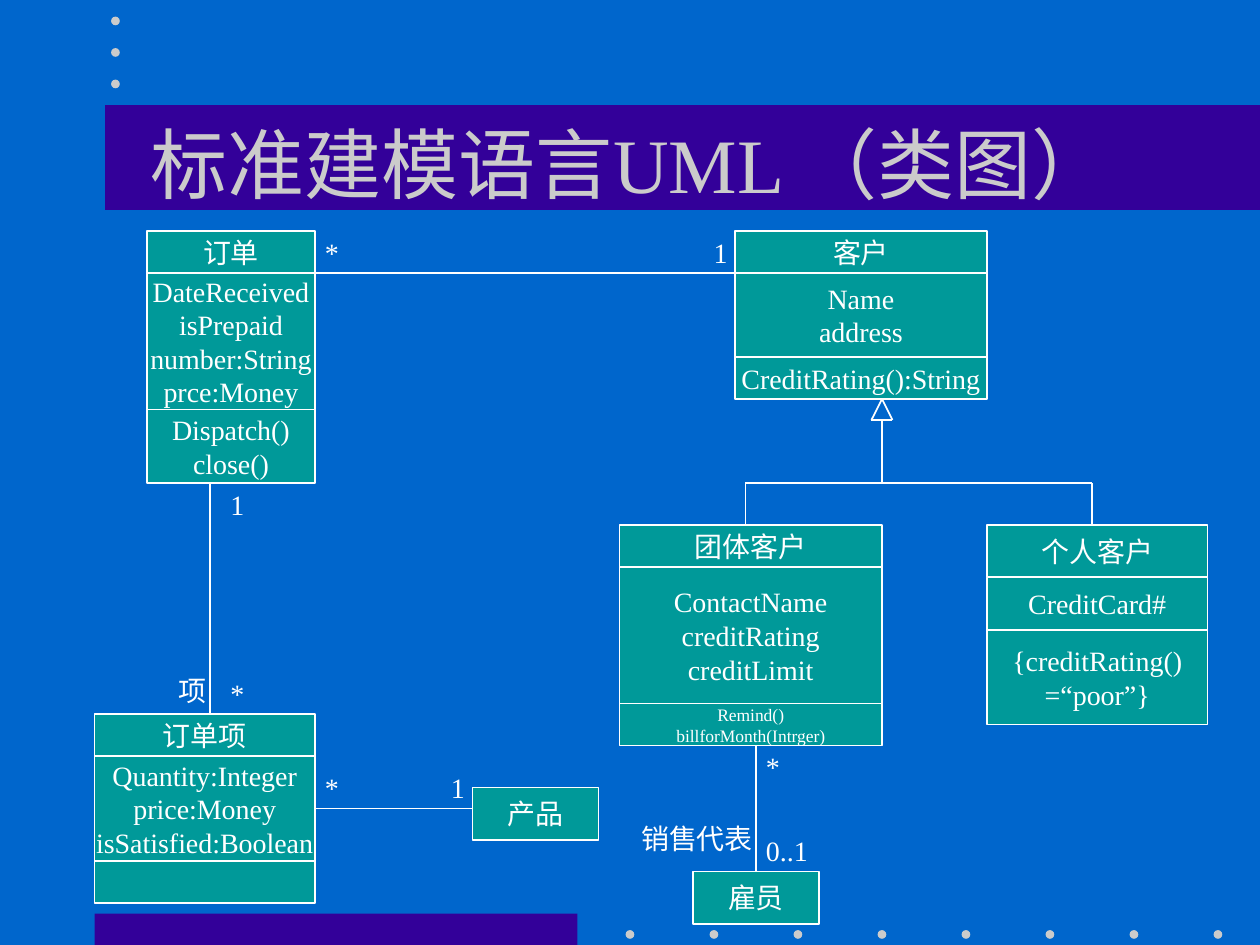
from lxml import etree
from pptx import Presentation
from pptx.dml.color import RGBColor
from pptx.enum.shapes import MSO_CONNECTOR, MSO_SHAPE
from pptx.enum.text import MSO_ANCHOR, MSO_AUTO_SIZE, PP_ALIGN
from pptx.oxml.ns import qn
from pptx.util import Pt

RECTANGLE, OVAL = MSO_SHAPE.RECTANGLE, MSO_SHAPE.OVAL
STRAIGHT = MSO_CONNECTOR.STRAIGHT
MIDDLE, TOP = MSO_ANCHOR.MIDDLE, MSO_ANCHOR.TOP
LEFT, CENTER = PP_ALIGN.LEFT, PP_ALIGN.CENTER
FIXED, GROW = MSO_AUTO_SIZE.NONE, MSO_AUTO_SIZE.SHAPE_TO_FIT_TEXT

COLORS = {
    "background": "0066CC",
    "band": "330099",
    "soft": "CBCBCB",
    "class": "009999",
    "white": "FFFFFF",
}
FONT = "Times New Roman"
TITLE = "标准建模语言UML （类图）"

BANDS = [(54, 522, 276, 18), (60, 60, 660, 60)]
DOT_SIZE = 5
DOT_CENTERS = [(360 + 48 * i, 534) for i in range(8)]
DOT_CENTERS += [(66, 12 + 18 * i) for i in range(3)]

CLASSES = [
    {"left": 84, "top": 132, "width": 96, "parts": [
        (24, ["订单"]),
        (78, ["DateReceived", "isPrepaid", "number:String", "prce:Money"]),
        (42, ["Dispatch()", "close()"])]},
    {"left": 54, "top": 408, "width": 126, "parts": [
        (24, ["订单项"]),
        (60, ["Quantity:Integer", "price:Money", "isSatisfied:Boolean"]),
        (24, [])]},
    {"left": 420, "top": 132, "width": 144, "parts": [
        (24, ["客户"]),
        (48, ["Name", "address"]),
        (24, ["CreditRating():String"])]},
    {"left": 354, "top": 300, "width": 150, "last_size": 10, "parts": [
        (24, ["团体客户"]),
        (78, ["ContactName", "creditRating", "creditLimit"]),
        (24, ["Remind()", "billforMonth(Intrger)"])]},
    {"left": 564, "top": 300, "width": 126, "parts": [
        (30, ["个人客户"]),
        (30, ["CreditCard#"]),
        (54, ["{creditRating()", "=“poor”}"])]},
    {"left": 396, "top": 498, "width": 72, "parts": [(30, ["雇员"])]},
    {"left": 270, "top": 450, "width": 72, "parts": [(30, ["产品"])]},
]

ASSOCIATIONS = [
    (120, 276, 120, 408),
    (270, 462, 180, 462),
    (180, 156, 420, 156),
    (432, 426, 432, 498),
]
GENERALIZATION = [
    (426, 300, 426, 276),
    (426, 276, 624, 276),
    (624, 276, 624, 300),
    (504, 276, 504, 240),
    (498, 240, 510, 240),
    (498, 240, 504, 228),
    (510, 240, 504, 228),
]

LABEL_HEIGHT = 26.6
LABELS = [
    ("1", 124.6, 275, 22.4),
    ("*", 124.6, 383, 22.4),
    ("项", 95, 381.6, 30.4),
    ("销售代表", 359.3, 465.8, 78),
    ("1", 250.6, 437, 22.4),
    ("*", 178.6, 437, 22.4),
    ("0..1", 430.6, 473, 38.4),
    ("1", 400.8, 131, 22.4),
    ("*", 178.6, 131, 22.4),
    ("*", 430.6, 425, 22.4),
]


def color(name):
    return RGBColor.from_string(COLORS[name])


def write(shape, lines, size=16, ink="white", align=CENTER, anchor=MIDDLE,
          wrap=False, fit=FIXED):
    frame = shape.text_frame
    frame.auto_size = fit
    frame.word_wrap = wrap
    frame.vertical_anchor = anchor
    for index, line in enumerate(lines):
        para = frame.paragraphs[0] if index == 0 else frame.add_paragraph()
        para.alignment = align
        span = para.add_run()
        span.text = line
        span.font.name = FONT
        span.font.size = Pt(size)
        span.font.color.rgb = color(ink)


def add_block(page, kind, place, fill, outline=None):
    block = page.shapes.add_shape(kind, *map(Pt, place))
    block.shadow.inherit = False
    block.fill.solid()
    block.fill.fore_color.rgb = color(fill)
    if outline:
        block.line.color.rgb = color(outline)
        block.line.width = Pt(1)
    else:
        block.line.fill.background()
    return block


def add_class(page, left, top, width, parts, last_size=16):
    for index, (height, lines) in enumerate(parts):
        box = add_block(page, RECTANGLE, (left, top, width, height),
                        "class", "white")
        is_last = index == len(parts) - 1
        write(box, lines, size=last_size if is_last else 16)
        top += height


def add_line(page, ends):
    line = page.shapes.add_connector(STRAIGHT, *map(Pt, ends))
    line.line.color.rgb = color("white")
    line.line.width = Pt(1)
    etree.SubElement(line._element.spPr, qn("a:effectLst"))


def main():
    deck = Presentation()
    deck.slide_width, deck.slide_height = Pt(720), Pt(540)
    page = deck.slides.add_slide(deck.slide_layouts[5])
    page.background.fill.solid()
    page.background.fill.fore_color.rgb = color("background")

    for place in BANDS:
        add_block(page, RECTANGLE, place, "band")
    for x, y in DOT_CENTERS:
        corner = (x - DOT_SIZE / 2, y - DOT_SIZE / 2)
        add_block(page, OVAL, (*corner, DOT_SIZE, DOT_SIZE), "soft")

    title = page.shapes.title
    title.left, title.top, title.width, title.height = map(Pt, (54, 48, 612, 90))
    write(title, [TITLE], size=44, ink="soft", wrap=True)
    page.shapes._spTree.append(title._element)

    for item in CLASSES:
        add_class(page, **item)
    for ends in ASSOCIATIONS + GENERALIZATION:
        add_line(page, ends)
    for text, left, top, width in LABELS:
        label = page.shapes.add_textbox(*map(Pt, (left, top, width, LABEL_HEIGHT)))
        write(label, [text], align=LEFT, anchor=TOP, fit=GROW)

    deck.save("out.pptx")


if __name__ == "__main__":
    main()
